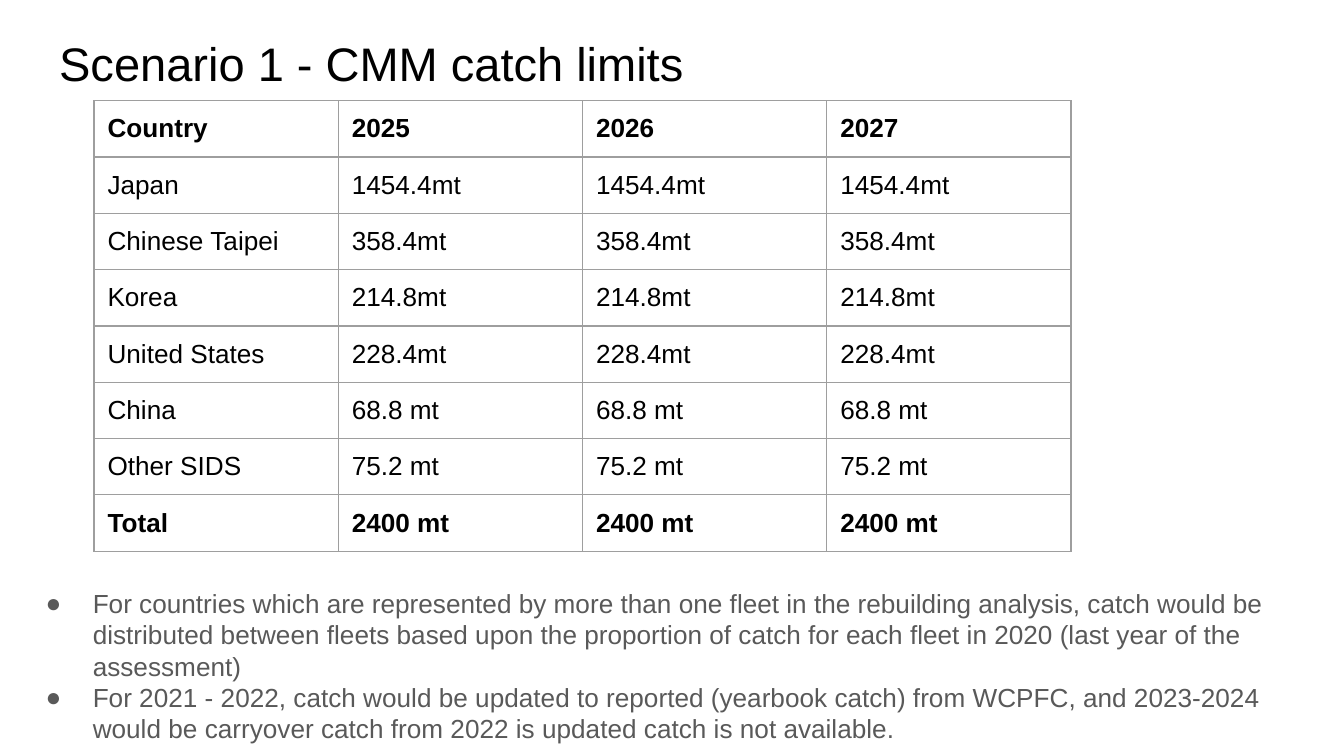
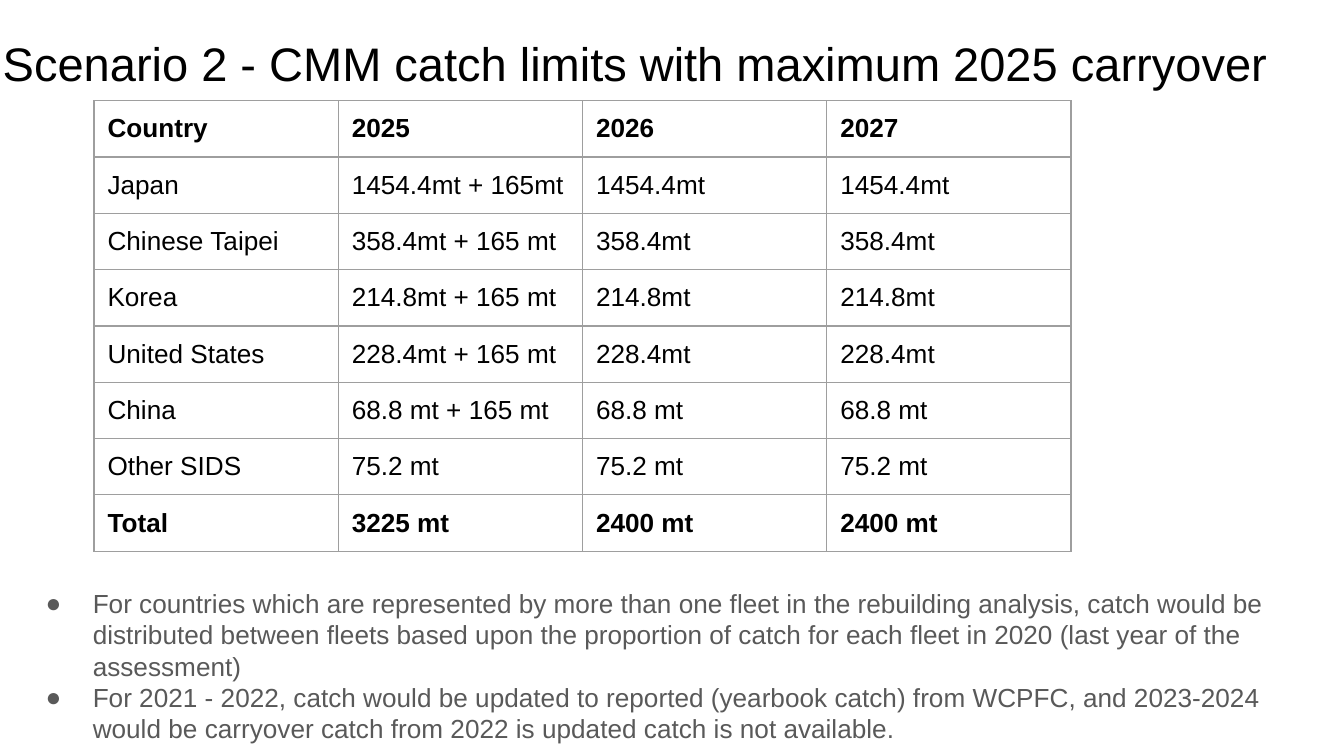
from lxml import etree
from pptx import Presentation
from pptx import util as u
from pptx.dml.color import RGBColor
from pptx.enum import text
from pptx.oxml.ns import qn

INK, GREY, BORDER = "000000", "595959", "9E9E9E"
TITLE = {"name": "Arial", "size": u.Pt(25.2), "bold": False}
BODY = {"name": "Arial", "size": u.Pt(14), "bold": False}
FRAME = {"word_wrap": True, "auto_size": text.MSO_AUTO_SIZE.NONE,
         "margin_left": u.Inches(0.1), "margin_right": u.Inches(0.1),
         "margin_top": u.Inches(0.1), "margin_bottom": u.Inches(0.1)}
CELL = {k: v for k, v in FRAME.items() if k.startswith("margin")}
LIST = {"alignment": text.PP_ALIGN.LEFT, "line_spacing": 1.0,
        "space_before": u.Pt(0), "space_after": u.Pt(0)}

TITLE_BOX = (0.34, 0.15, 9.32, 0.63)
WIDE_TITLE_BOX = (-0.08, 0.15, 9.66, 0.63)
TABLE_BOX = (0.7, 0.75, 7.27, 3.34)
NOTES_BOX = (0.09, 4.27, 9.73, 1.24)

YEARS = ["2025", "2026", "2027"]
LIMITS = {"Japan": "1454.4mt", "Chinese Taipei": "358.4mt", "Korea": "214.8mt",
          "United States": "228.4mt", "China": "68.8 mt", "Other SIDS": "75.2 mt",
          "Total": "2400 mt"}
CARRYOVER = {country: f"{LIMITS[country]} + 165 mt"
             for country in ("Chinese Taipei", "Korea", "United States", "China")}
CARRYOVER |= {"Japan": "1454.4mt + 165mt", "Total": "3225 mt"}
NOTES = [
    "For countries which are represented by more than one fleet in the rebuilding "
    "analysis, catch would be distributed between fleets based upon the proportion of "
    "catch for each fleet in 2020 (last year of the assessment)",
    "For 2021 - 2022, catch would be updated to reported (yearbook catch) from WCPFC, "
    "and 2023-2024 would be carryover catch from 2022 is updated catch is not available.",
]


def rgb(value):
    """Return the colour for a hex string."""
    return RGBColor.from_string(value)


def apply(target, values):
    """Set each attribute of target from a dict."""
    for name, value in values.items():
        setattr(target, name, value)


def style(font, values, color):
    """Apply font values and a colour."""
    apply(font, values)
    font.color.rgb = rgb(color)


def place(sp, box):
    """Move a shape to a box given in inches."""
    apply(sp, dict(zip(("left", "top", "width", "height"), map(u.Inches, box))))


def add_bullet(p, color):
    """Give a paragraph a round bullet and a hanging indent."""
    pPr = p._p.get_or_add_pPr()
    pPr.set("marL", str(u.Inches(0.5)))
    pPr.set("indent", str(u.Inches(-0.35)))
    clr = etree.SubElement(pPr, qn("a:buClr"))
    etree.SubElement(clr, qn("a:srgbClr"), val=color)
    etree.SubElement(pPr, qn("a:buFont"), typeface="Arial")
    etree.SubElement(pPr, qn("a:buChar"), char="●")


def add_borders(cell, color):
    """Draw a thin line on all four sides of a cell."""
    tcPr = cell._tc.get_or_add_tcPr()
    for side in ("lnL", "lnR", "lnT", "lnB"):
        ln = etree.SubElement(tcPr, qn(f"a:{side}"), w=str(u.Pt(0.75)))
        fill = etree.SubElement(ln, qn("a:solidFill"))
        etree.SubElement(fill, qn("a:srgbClr"), val=color)


def fill_title(sp, box, title):
    """Place and format the slide title."""
    place(sp, box)
    tf = sp.text_frame
    apply(tf, FRAME | {"vertical_anchor": text.MSO_ANCHOR.BOTTOM})
    p = tf.paragraphs[0]
    p.alignment = text.PP_ALIGN.LEFT
    r = p.add_run()
    r.text = title
    style(r.font, TITLE, INK)


def fill_notes(sp, box, notes):
    """Place and format the bulleted notes."""
    place(sp, box)
    tf = sp.text_frame
    apply(tf, FRAME | {"vertical_anchor": text.MSO_ANCHOR.TOP})
    for i, note in enumerate(notes):
        p = tf.add_paragraph() if i else tf.paragraphs[0]
        add_bullet(p, GREY)
        apply(p, LIST)
        r = p.add_run()
        r.text = note
        style(r.font, BODY, GREY)


def add_limits_table(s, box, rows):
    """Add the table of catch limits with a bold first and last row."""
    table = s.shapes.add_table(len(rows), len(rows[0]), *map(u.Inches, box)).table
    apply(table, {"first_row": False, "horz_banding": False})
    for i, row in enumerate(rows):
        for j, value in enumerate(row):
            cell = table.cell(i, j)
            apply(cell, CELL)
            add_borders(cell, BORDER)
            cell.fill.background()
            r = cell.text_frame.paragraphs[0].add_run()
            r.text = value
            style(r.font, BODY | {"bold": i in (0, len(rows) - 1)}, INK)


def add_scenario(prs, title, title_box, first_year):
    """Add a scenario slide; first_year overrides the limits for 2025."""
    s = prs.slides.add_slide(prs.slide_layouts[1])
    rows = [["Country", *YEARS]]
    rows += [[country, first_year.get(country, limit), limit, limit]
             for country, limit in LIMITS.items()]
    fill_title(s.shapes.title, title_box, title)
    add_limits_table(s, TABLE_BOX, rows)
    fill_notes(s.placeholders[1], NOTES_BOX, NOTES)


def main():
    """Build and save the deck."""
    prs = Presentation()
    prs.slide_width = u.Inches(10)
    prs.slide_height = prs.slide_width * 9 // 16
    add_scenario(prs, "Scenario 1 - CMM catch limits", TITLE_BOX, {})
    add_scenario(prs, "Scenario 2 - CMM catch limits with maximum 2025 carryover",
                 WIDE_TITLE_BOX, CARRYOVER)
    prs.save("out.pptx")


if __name__ == "__main__":
    main()
